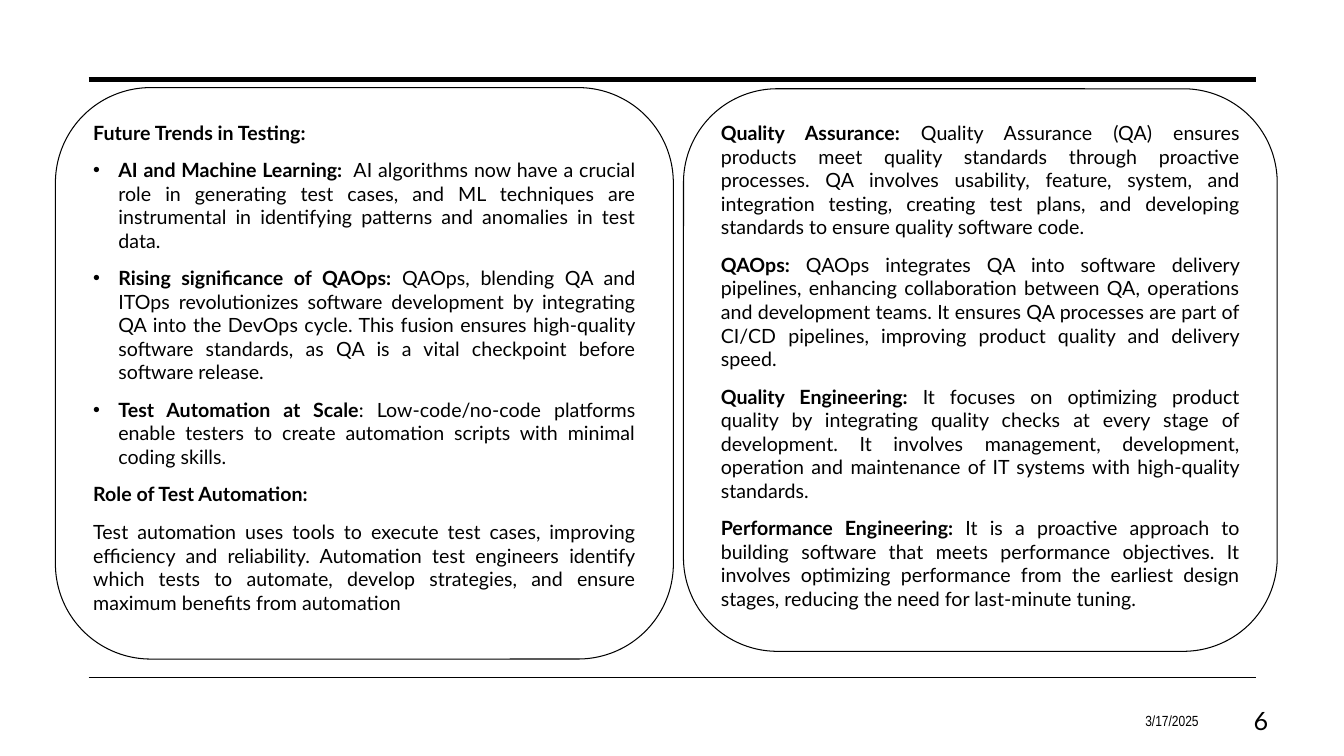
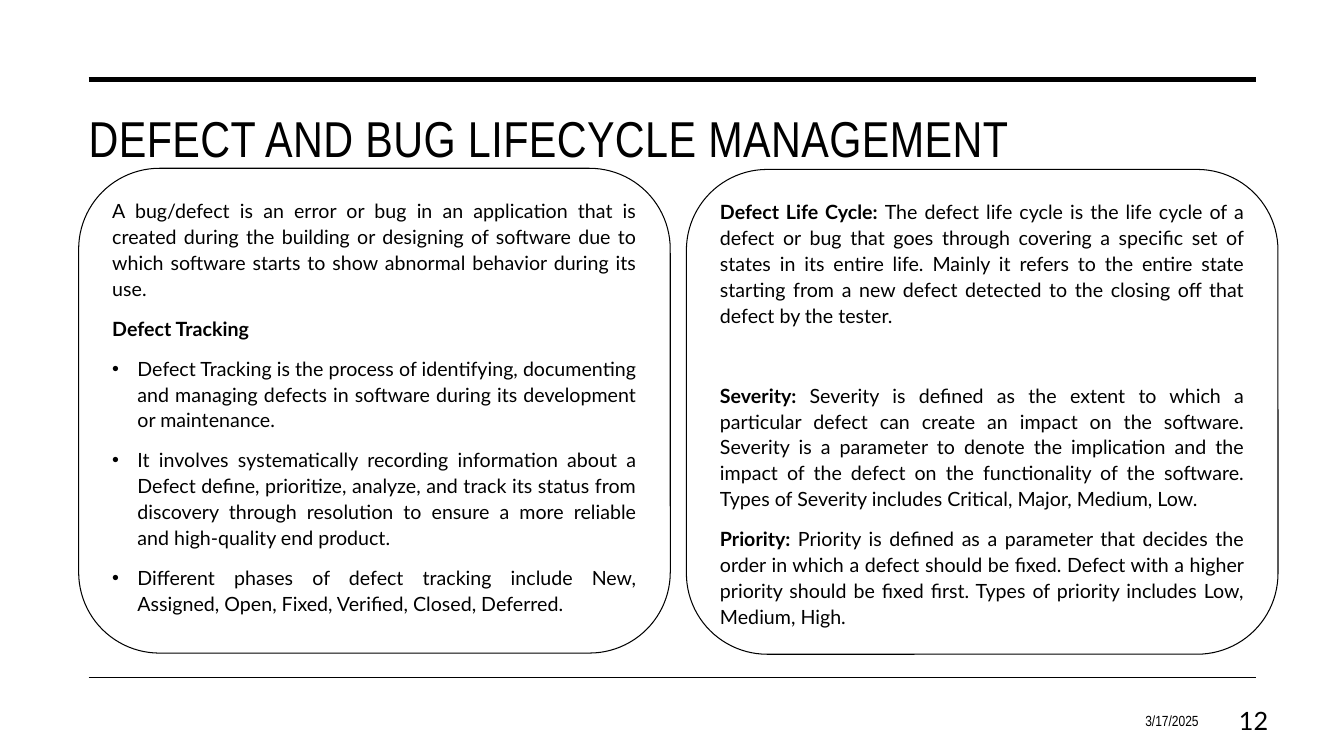
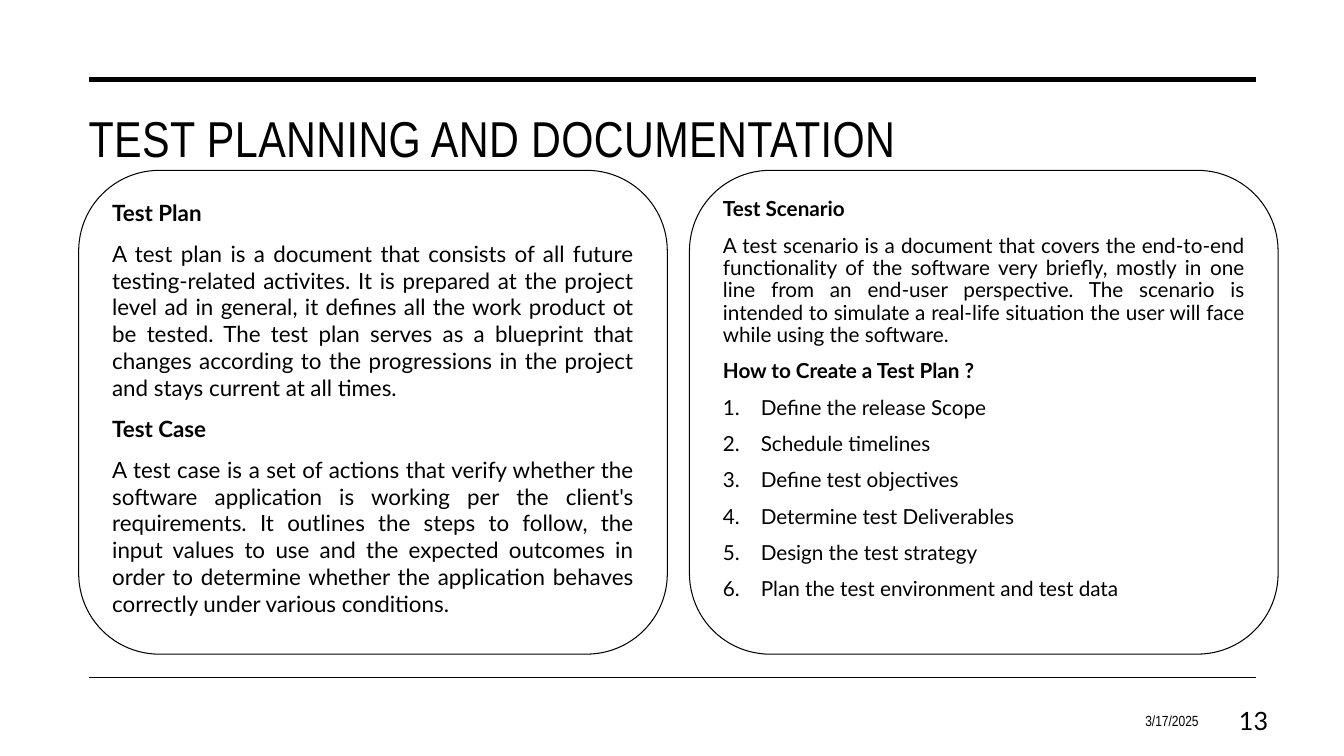
"""Builds three slides on software testing, each with two rounded text panels."""
from pptx import Presentation
from pptx.dml.color import RGBColor
from pptx.enum.shapes import MSO_CONNECTOR as Link, MSO_SHAPE as Shape
from pptx.enum.text import MSO_ANCHOR as Anchor, PP_ALIGN as Align
from pptx.oxml.ns import qn
from pptx.util import Pt
from lxml.etree import SubElement

INK = "000000"
BODY = "Lato"
HEAD = "Arial Narrow"
RULES = [(56.9, 3.5), (483.8, 1)]
MARKS = {"dot": ("a:buChar", "char", "•", 18),
         "num": ("a:buAutoNum", "type", "arabicPeriod", 27)}
GAPS = {"wide": 38.5}

SLIDES = [
    ("6", "", [
        ((39.6, 62.6, 441.4, 408.2), 14, 1, [
            ("", "Future Trends in Testing:", ""),
            ("dot", "AI and Machine Learning: ", " AI algorithms now have a crucial role in generating test cases, and ML techniques are instrumental in identifying patterns and anomalies in test data. "),
            ("dot", "Rising significance of QAOps: ", "QAOps, blending QA and ITOps revolutionizes software development by integrating QA into the DevOps cycle. This fusion ensures high-quality software standards, as QA is a vital checkpoint before software release."),
            ("dot", "Test Automation at Scale", ": Low-code/no-code platforms enable testers to create automation scripts with minimal coding skills."),
            ("", "Role of Test Automation:", ""),
            ("", "", "Test automation uses tools to execute test cases, improving efficiency and reliability. Automation test engineers identify which tests to automate, develop strategies, and ensure maximum benefits from automation"),
        ]),
        ((488.2, 63.4, 424.1, 401.8), 14, 1, [
            ("", "Quality Assurance: ", "Quality Assurance (QA) ensures products meet quality standards through proactive processes. QA involves usability, feature, system, and integration testing, creating test plans, and developing standards to ensure quality software code."),
            ("", "QAOps: ", "QAOps integrates QA into software delivery pipelines, enhancing collaboration between QA, operations and development teams. It ensures QA processes are part of CI/CD pipelines, improving product quality and delivery speed."),
            ("", "Quality Engineering: ", "It focuses on optimizing product quality by integrating quality checks at every stage of development. It involves management, development, operation and maintenance of IT systems with high-quality standards."),
            ("", "Performance Engineering: ", "It is a proactive approach to building software that meets performance objectives. It involves optimizing performance from the earliest design stages, reducing the need for last-minute tuning."),
        ]),
    ]),
    ("12", "DEFECT AND BUG LIFECYCLE MANAGEMENT", [
        ((56.2, 120.2, 422.6, 346.3), 14, 1.1, [
            ("", "", "A bug/defect is an error or bug in an application that is created during the building or designing of software due to which software starts to show abnormal behavior during its use."),
            ("", "Defect Tracking", ""),
            ("dot", "", "Defect Tracking is the process of identifying, documenting and managing defects in software during its development or maintenance."),
            ("dot", "", "It involves systematically recording information about a Defect define, prioritize, analyze, and track its status from discovery through resolution to ensure a more reliable and high-quality end product."),
            ("dot", "", "Different phases of defect tracking include New, Assigned, Open, Fixed, Verified, Closed, Deferred."),
        ]),
        ((490.3, 121, 422.6, 346.3), 14, 1.1, [
            ("", "Defect Life Cycle: ", "The defect life cycle is the life cycle of a defect or bug that goes through covering a specific set of states in its entire life. Mainly it refers to the entire state starting from a new defect detected to the closing off that defect by the tester."),
            ("wide", "Severity: ", "Severity is defined as the extent to which a particular defect can create an impact on the software. Severity is a parameter to denote the implication and the impact of the defect on the functionality of the software. Types of Severity includes Critical, Major, Medium, Low."),
            ("", "Priority: ", "Priority is defined as a parameter that decides the order in which a defect should be fixed. Defect with a higher priority should be fixed first. Types of priority includes Low, Medium, High."),
        ]),
    ]),
    ("13", "TEST PLANNING AND DOCUMENTATION", [
        ((56.2, 121.7, 420.5, 345.6), 16, 1, [
            ("", "Test Plan", ""),
            ("", "", "A test plan is a document that consists of all future testing-related activites. It is prepared at the project level ad in general, it defines all the work product ot be tested. The test plan serves as a blueprint that changes according to the progressions in the project and stays current at all times."),
            ("", "Test Case", ""),
            ("", "", "A test case is a set of actions that verify whether the software application is working per the client's requirements. It outlines the steps to follow, the input values to use and the expected outcomes in order to determine whether the application behaves correctly under various conditions."),
        ]),
        ((492.5, 121.7, 420.5, 345.6), 14.8, 0.9, [
            ("", "Test Scenario", ""),
            ("", "", "A test scenario is a document that covers the end-to-end functionality of the software very briefly, mostly in one line from an end-user perspective. The scenario is intended to simulate a real-life situation the user will face while using the software."),
            ("", "How to Create a Test Plan ?", ""),
            ("num", "", "Define the release Scope"),
            ("num", "", "Schedule timelines"),
            ("num", "", "Define test objectives"),
            ("num", "", "Determine test Deliverables"),
            ("num", "", "Design the test strategy"),
            ("num", "", "Plan the test environment and test data"),
        ]),
    ]),
]


def paint(item, code):
    """Give a font or a line one solid colour."""
    target = item.color if hasattr(item, "color") else item
    target.rgb = RGBColor.from_string(code)


def label(slide, box, text, face, size, align, anchor):
    """Add one line of text and return its run."""
    frame = slide.shapes.add_textbox(*map(Pt, box)).text_frame
    frame.word_wrap = True
    frame.vertical_anchor = anchor
    frame.text = text
    para = frame.paragraphs[0]
    para.alignment = align
    run = para.runs[0]
    run.font.name, run.font.size = face, Pt(size)
    paint(run.font, INK)
    return run


deck = Presentation()
deck.slide_width, deck.slide_height = Pt(960), Pt(540)

for number, title, panels in SLIDES:
    slide = deck.slides.add_slide(deck.slide_layouts[6])
    for top, width in RULES:
        rule = slide.shapes.add_connector(Link.STRAIGHT, Pt(63.4), Pt(top), Pt(897.1), Pt(top))
        rule.line.width = Pt(width)
        paint(rule.line, INK)
        SubElement(rule._element.spPr, qn("a:effectLst"))

    if title:
        run = label(slide, (56.2, 72.7, 841, 48.2), title, HEAD, 36, Align.LEFT, Anchor.TOP)
        run.font._element.set("spc", "30")
    label(slide, (658.8, 500.4, 204.5, 28.8), "3/17/2025", HEAD, 10.5, Align.RIGHT, Anchor.MIDDLE)
    label(slide, (859.7, 500.4, 53.3, 28.8), number, BODY, 18, Align.RIGHT, Anchor.MIDDLE)

    for box, size, pitch, paras in panels:
        panel = slide.shapes.add_shape(Shape.ROUNDED_RECTANGLE, *map(Pt, box))
        panel.shadow.inherit = False
        panel.fill.background()
        panel.line.width = Pt(0.75)
        paint(panel.line, INK)
        frame = panel.text_frame
        frame.word_wrap = True
        frame.vertical_anchor = Anchor.TOP
        for index, (kind, lead, rest) in enumerate(paras):
            para = frame.add_paragraph() if index else frame.paragraphs[0]
            para.alignment = Align.JUSTIFY
            para.line_spacing = pitch
            para.space_before = Pt(GAPS.get(kind, 10))
            if kind in MARKS:
                tag, key, value, indent = MARKS[kind]
                props = para._p.get_or_add_pPr()
                props.set("marL", str(Pt(indent)))
                props.set("indent", str(-Pt(indent)))
                if kind == "dot":
                    SubElement(props, qn("a:buFont")).set("typeface", "Arial")
                SubElement(props, qn(tag)).set(key, value)
            for text, bold in ((lead, True), (rest, False)):
                if text:
                    run = para.add_run()
                    run.text = text
                    run.font.name, run.font.size, run.font.bold = BODY, Pt(size), bold
                    paint(run.font, INK)

deck.save("out.pptx")
